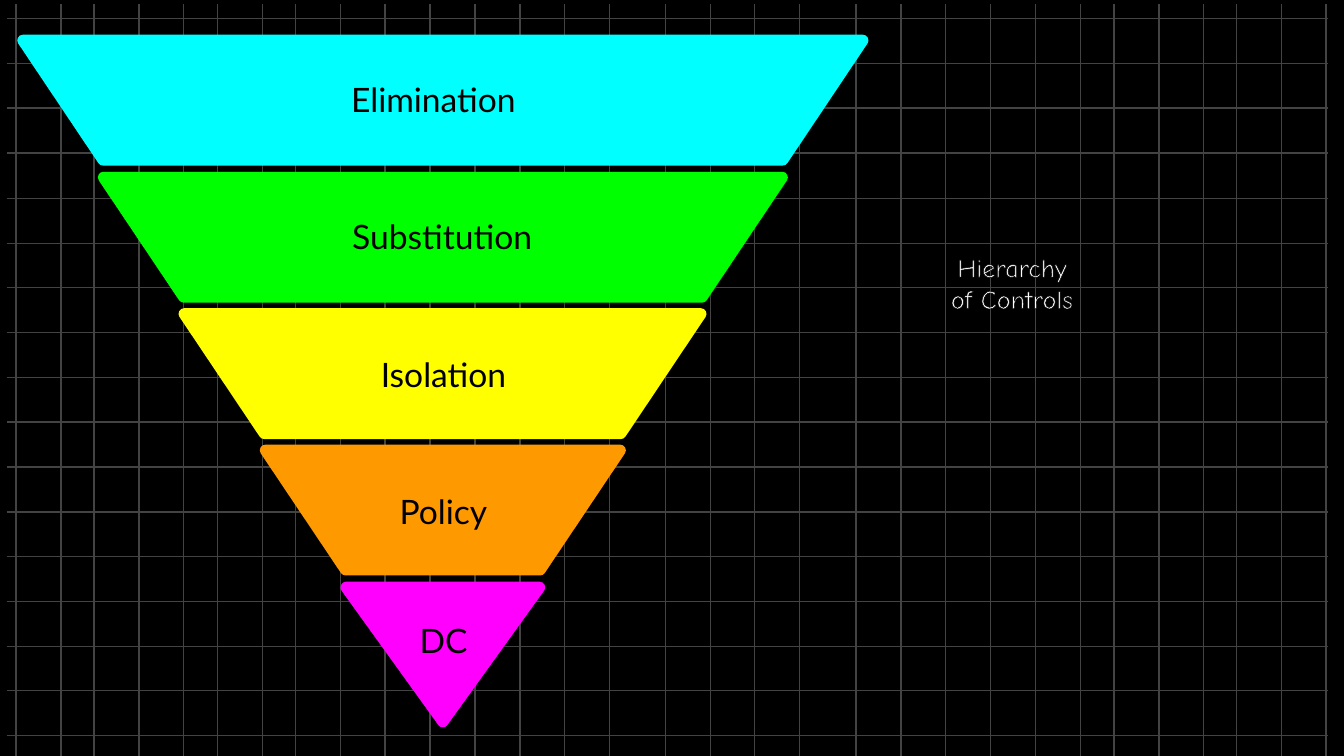
from dataclasses import dataclass
from lxml.etree import SubElement
from pptx import Presentation
from pptx.dml.color import RGBColor
from pptx.enum.shapes import MSO_CONNECTOR, MSO_SHAPE
from pptx.enum.text import MSO_ANCHOR, PP_ALIGN
from pptx.oxml import parse_xml
from pptx.oxml.ns import nsdecls, qn
from pptx.util import Pt

PX = 4572


@dataclass(frozen=True)
class Theme:
    background: str = "000000"
    grid: str = "434343"
    label: str = "000000"
    title: str = "FFFFFF"
    label_font: str = "Lato"
    title_font: str = "Comic Neue"
    label_size: int = 18
    title_size: int = 14
    grid_width: float = 0.75
    level_width: int = 6


THEME = Theme()
GRID_STEP = 66.7
ROW_COUNT = 17
COLUMN_RUNS = [(24, 2), (140, 3), (324, 2), (440, 8), (990, 4), (1274, 6), (1658, 3), (1840, 3)]
PYRAMID_CENTER, PYRAMID_TOP, PYRAMID_WIDTH = 659, 60, 1250
LEVEL_PITCH, LEVEL_NARROWING = 203.5, 240.5
LEVELS = [
    ("Elimination", "00FFFF", (154, 97, 982, 100)),
    ("Substitution", "00FF00", (274, 302, 768, 100)),
    ("Isolation", "FFFF00", (396, 506, 528, 100)),
    ("Policy", "FF9900", (516, 710, 288, 100)),
    ("DC", "FF00FF", (578, 902, 164, 100)),
]


def px(*lengths):
    return [round(length) * PX for length in lengths]


def color(value):
    return RGBColor.from_string(value)


def add_grid_line(grid, *ends):
    line = grid.shapes.add_connector(MSO_CONNECTOR.STRAIGHT, *px(*ends))
    line.line.color.rgb = color(THEME.grid)
    line.line.width = Pt(THEME.grid_width)
    SubElement(line.element.spPr, qn("a:effectLst"))


def add_grid(page):
    grid = page.shapes.add_group_shape()
    for row in range(ROW_COUNT):
        y = 28 + row * GRID_STEP
        add_grid_line(grid, 10, y, 1976, y)
    for start, count in COLUMN_RUNS:
        for column in range(count):
            x = start + column * GRID_STEP
            add_grid_line(grid, x, 6, x, 1126)


def format_text(box, font, size, value, anchor, inset):
    frame = box.text_frame
    frame.word_wrap = True
    frame.vertical_anchor = anchor
    frame.margin_left, frame.margin_right = px(20, 20)
    frame.margin_top, frame.margin_bottom = px(inset, inset)
    for para in frame.paragraphs:
        para.alignment = PP_ALIGN.CENTER
        for span in para.runs:
            span.font.name = font
            span.font.size = Pt(size)
            span.font.color.rgb = color(value)


def add_level(pyramid, index, name, value, label_area):
    is_tip = index == len(LEVELS) - 1
    width = PYRAMID_WIDTH - index * LEVEL_NARROWING
    left = PYRAMID_CENTER - width / 2
    top = PYRAMID_TOP + index * LEVEL_PITCH
    kind = MSO_SHAPE.ISOSCELES_TRIANGLE if is_tip else MSO_SHAPE.TRAPEZOID
    level = pyramid.shapes.add_shape(kind, *px(left, top, width, 200 if is_tip else 178))
    level.adjustments[0] = 0.5 if is_tip else 0.67
    level.rotation = 180
    level.shadow.inherit = False
    level.fill.solid()
    level.fill.fore_color.rgb = color(value)
    level.line.color.rgb = color(value)
    level.line.width = Pt(THEME.level_width)
    SubElement(level.element.spPr.find(qn("a:ln")), qn("a:round"))

    label = pyramid.shapes.add_textbox(*px(*label_area))
    label.text_frame.text = name
    format_text(label, THEME.label_font, THEME.label_size, THEME.label, MSO_ANCHOR.MIDDLE, 20)


def add_pyramid(page):
    pyramid = page.shapes.add_group_shape()
    for index, level in enumerate(LEVELS):
        add_level(pyramid, index, *level)


def place_title(page):
    title = page.shapes.title
    title.left, title.top, title.width, title.height = px(1058, 364, 896, 394)
    title.text_frame.text = "Hierarchy\vof Controls"
    format_text(title, THEME.title_font, THEME.title_size, THEME.title, MSO_ANCHOR.TOP, 10)
    for properties in title.element.iter(qn("a:rPr")):
        properties.insert(0, parse_xml(
            f'<a:ln {nsdecls("a")} w="{Pt(2.25)}"><a:solidFill>'
            f'<a:srgbClr val="{THEME.background}"/></a:solidFill></a:ln>'))
    for line_break in title.element.iter(qn("a:br")):
        SubElement(line_break, qn("a:rPr")).set("sz", str(THEME.title_size * 100))
    title.element.getparent().append(title.element)


def main():
    deck = Presentation()
    deck.slide_width, deck.slide_height = px(2000, 1125)
    page = deck.slides.add_slide(deck.slide_layouts[5])
    page.background.fill.solid()
    page.background.fill.fore_color.rgb = color(THEME.background)
    add_grid(page)
    add_pyramid(page)
    place_title(page)
    deck.save("out.pptx")


if __name__ == "__main__":
    main()
